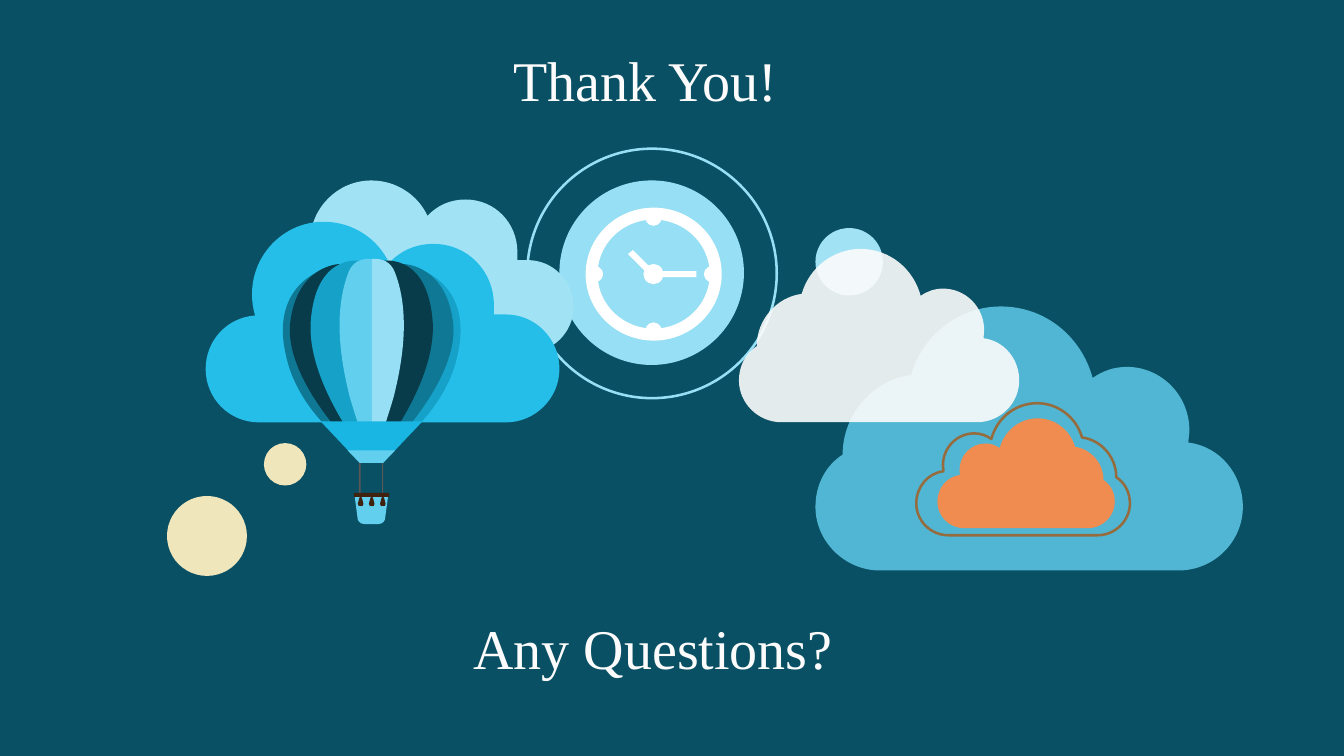
"""Build a closing slide with clouds, a hot-air balloon and a clock."""
from dataclasses import dataclass
from typing import Any

from lxml import etree
from pptx import Presentation
from pptx import util as u
from pptx.dml import color as dml
from pptx.enum import shapes as kinds
from pptx.oxml import ns

COLORS = {
    "night": "0A5064", "pale": "96DFF4", "mist": "A1E2F5", "lagoon": "62D0EF",
    "sky": "25BEE9", "snow": "FCFCFC", "white": "FFFFFF", "orange": "F18C51",
    "brown": "966C3F", "cream": "EFE6BB", "petrol": "0F7895", "ink": "083C4B",
    "azure": "15A1C8", "light": "62CFEE", "funnel": "19B6E3",
    "rope": "595757", "wood": "40220F",
}
Outline = list[tuple[float, ...]]
Box = tuple[float, float, float, float]

TALL_CLOUD: Outline = [
    (993, 304), (951, 304, 915, 333, 904, 372), (866, 377, 836, 411, 836, 451),
    (819, 462, 809, 481, 809, 503), (809, 537, 838, 566, 873, 566), (1169, 566),
    (1205, 566, 1233, 537, 1233, 503), (1233, 470, 1210, 443, 1179, 439),
    (1179, 435, 1180, 431, 1180, 427), (1180, 392, 1152, 364, 1118, 364),
    (1105, 364, 1094, 368, 1084, 375), (1073, 334, 1037, 304, 993, 304)]
WIDE_CLOUD: Outline = [
    (253, 313), (251, 306, 250, 299, 250, 292), (250, 252, 282, 220, 321, 220),
    (350, 220, 375, 237, 386, 261), (397, 249, 412, 242, 430, 242),
    (464, 242, 490, 269, 490, 303), (490, 306, 490, 309, 490, 312), (502, 312),
    (531, 312, 555, 336, 555, 366), (555, 395, 531, 419, 502, 419), (257, 419),
    (227, 419, 204, 395, 204, 366), (204, 338, 225, 315, 253, 313)]
OUTER_PANEL: Outline = [
    (319, 268), (319, 268, 267, 284, 283, 352), (297, 419, 369, 459, 369, 459)]
MIDDLE_PANEL: Outline = [
    (337, 262), (337, 262, 294, 263, 288, 322), (283, 380, 359, 455, 369, 459)]
INNER_PANEL: Outline = [
    (360, 259), (360, 259, 316, 249, 309, 314), (301, 379, 369, 459, 369, 459)]
CENTRE_PANEL: Outline = [
    (369, 257), (369, 459), (369, 459, 357, 427, 347, 393),
    (342, 372, 328, 316, 346, 270), (350, 260, 358, 256, 369, 257)]
FUNNEL: Outline = [(318, 418), (419, 418), (380, 459), (357, 459)]
COLLAR: Outline = [(345, 447), (392, 447), (380, 459), (357, 459)]
BASKET: Outline = [
    (352, 492), (355, 515), (355, 515, 356, 520, 362, 520), (375, 520),
    (381, 520, 382, 515, 382, 515), (385, 492), (370, 491), (368, 491)]
TASSEL: Outline = [
    (359, 496), (358, 495, 358, 492, 358, 492), (357, 492),
    (357, 492, 357, 495, 356, 496), (356, 497, 355, 499, 355, 500),
    (355, 502, 356, 502, 358, 502), (359, 502, 360, 502, 360, 500),
    (360, 499, 359, 497, 359, 496)]
HOUR_HAND: Outline = [(628, 248), (650, 270), (645, 274), (623, 252)]


@dataclass
class Figure:
    """An outline or preset shape fitted to a box in points."""

    form: Any
    box: Box
    color: str
    mirrored: bool = False
    opacity: int = 100
    line_width: float = 0


@dataclass
class Caption:
    """A line of large text."""

    words: str
    box: Box
    indent: float
    wrap: bool


def fit(outline: Outline, box: Box, mirrored: bool) -> list[tuple[int, int]]:
    """Scale an outline so that its control points fill the box."""
    across = [x for segment in outline for x in segment[::2]]
    down = [y for segment in outline for y in segment[1::2]]
    left, top, width, height = box
    fitted = []
    for x, y in zip(across, down):
        part = (x - min(across)) / (max(across) - min(across))
        part = 1 - part if mirrored else part
        drop = (y - min(down)) / (max(down) - min(down))
        fitted.append((u.Pt(left + part * width), u.Pt(top + drop * height)))
    return fitted


def draw_outline(shapes: Any, figure: Figure) -> Any:
    """Draw a freeform, joining the control points of each curve."""
    points = fit(figure.form, figure.box, figure.mirrored)
    builder = shapes.build_freeform(*points[0])
    builder.add_line_segments(points[1:], close=True)
    shape = builder.convert_to_shape()
    steps = iter(list(shape.element.iter(ns.qn("a:lnTo"))))
    for segment in figure.form[1:]:
        first = next(steps)
        if len(segment) == 6:
            curve = etree.Element(ns.qn("a:cubicBezTo"))
            first.addprevious(curve)
            for step in (first, next(steps), next(steps)):
                curve.append(step[0])
                step.getparent().remove(step)
    return shape


def draw_figure(shapes: Any, figure: Figure) -> Any:
    """Draw one figure, filled or as a line only."""
    if isinstance(figure.form, list):
        shape = draw_outline(shapes, figure)
    else:
        shape = shapes.add_shape(figure.form, *map(u.Pt, figure.box))
    shape.shadow.inherit = False
    tone = dml.RGBColor.from_string(COLORS[figure.color])
    if figure.line_width:
        shape.fill.background()
        shape.line.color.rgb = tone
        shape.line.width = u.Pt(figure.line_width)
        return shape
    shape.fill.solid()
    shape.fill.fore_color.rgb = tone
    shape.line.fill.background()
    if figure.opacity < 100:
        swatch = next(shape.element.spPr.iter(ns.qn("a:srgbClr")))
        etree.SubElement(swatch, ns.qn("a:alpha"), val=str(figure.opacity * 1000))
    return shape


def draw_caption(shapes: Any, caption: Caption) -> None:
    """Add a caption as a text box."""
    frame = shapes.add_textbox(*map(u.Pt, caption.box)).text_frame
    frame.word_wrap = caption.wrap
    frame.margin_left = u.Pt(caption.indent)
    frame.text = caption.words
    font = frame.paragraphs[0].runs[0].font
    font.name, font.size = "Times New Roman", u.Pt(40)
    font.color.rgb = dml.RGBColor.from_string(COLORS["snow"])


OVAL, RECTANGLE = kinds.MSO_SHAPE.OVAL, kinds.MSO_SHAPE.RECTANGLE
SCENE = [
    Figure(OVAL, (399.6, 128.9, 131.8, 131.8), "pale"),
    Figure(OVAL, (376.6, 106.2, 178.2, 178.2), "pale", line_width=1.8),
    Figure(TALL_CLOUD, (582.5, 218.9, 305.3, 188.6), "lagoon", opacity=80),
    Figure(OVAL, (582.5, 162.9, 48.2, 48.2), "mist"),
    Figure(TALL_CLOUD, (669.6, 298.8, 126.7, 78.5), "orange", mirrored=True),
    Figure(TALL_CLOUD, (654.5, 288, 152.6, 94.3), "brown", True, line_width=1.8),
    Figure(TALL_CLOUD, (527.8, 177.8, 200.2, 123.8), "snow", opacity=90),
    Figure(WIDE_CLOUD, (193, 128.9, 216.7, 123.1), "mist"),
    Figure(WIDE_CLOUD, (146.9, 158.4, 252.7, 143.3), "sky"),
    Figure(OVAL, (119.3, 354.3, 57.1, 57.1), "cream"),
    Figure(OVAL, (188.5, 316.5, 30.3, 30.3), "cream"),
]
BALLOON_AXIS, BALLOON_BOTTOM = 265.5, 330.7
PANELS = [
    (OUTER_PANEL, 72.7, 193, "petrol", "azure"),
    (MIDDLE_PANEL, 61.9, 188.6, "ink", "petrol"),
    (INNER_PANEL, 49, 179.3, "azure", "ink"),
    (CENTRE_PANEL, 29.5, 184.3, "light", "pale"),
]
BALLOON = [
    Figure(form, (BALLOON_AXIS - width * (not right), top, width, BALLOON_BOTTOM - top),
           colors[right], mirrored=bool(right))
    for right in (0, 1) for form, width, top, *colors in PANELS
] + [
    Figure(FUNNEL, (229, 301, 72.7, 29.7), "funnel"),
    Figure(RECTANGLE, (256.3, 330.5, 1.4, 22.3), "rope"),
    Figure(RECTANGLE, (272.9, 330.5, 0.9, 22.3), "rope"),
    Figure(COLLAR, (248.4, 321.8, 33.8, 8.9), "light"),
    Figure(BASKET, (253.4, 353.9, 23.8, 20.5), "light"),
    *(Figure(TASSEL, (255.6 + 7.92 * i, 353.5, 4, 8), "wood") for i in range(3)),
    Figure(RECTANGLE, (252.7, 352.1, 25.2, 2.9), "wood"),
]
CLOCK_X, CLOCK_Y, MARK = 466.8, 195.8, 5.8
CLOCK = [
    Figure(HOUR_HAND, (448.6, 178.6, 19.4, 18.7), "white"),
    *(Figure(OVAL, (CLOCK_X + x - MARK, CLOCK_Y + y - MARK, 2 * MARK, 2 * MARK), "white")
      for x, y in ((0, -40.3), (41.8, 0), (0, 40.3), (-41.8, 0))),
    Figure(RECTANGLE, (CLOCK_X, 193.7, 30.7, 4.3), "white"),
    Figure(OVAL, (CLOCK_X - 7.2, CLOCK_Y - 7.2, 14.4, 14.4), "white"),
]
CAPTIONS = [
    Caption("Thank You!", (279.4, 28.8, 372.2, 55.4), 87.2, True),
    Caption("Any Questions?", (331.2, 434.9, 273.6, 55.4), 7.2, False),
]


def main() -> None:
    """Compose and save the slide."""
    presentation = Presentation()
    presentation.slide_width, presentation.slide_height = u.Pt(960), u.Pt(540)
    slide = presentation.slides.add_slide(presentation.slide_layouts[6])
    slide.background.fill.solid()
    slide.background.fill.fore_color.rgb = dml.RGBColor.from_string(COLORS["night"])
    for figure in SCENE + BALLOON:
        draw_figure(slide.shapes, figure)
    for caption in CAPTIONS:
        draw_caption(slide.shapes, caption)
    for figure in CLOCK:
        draw_figure(slide.shapes, figure)
    face = Figure(kinds.MSO_SHAPE.DONUT, (418.3, 148.3, 97.2, 95), "white")
    draw_figure(slide.shapes, face).adjustments[0] = 0.09
    presentation.save("out.pptx")


if __name__ == "__main__":
    main()
